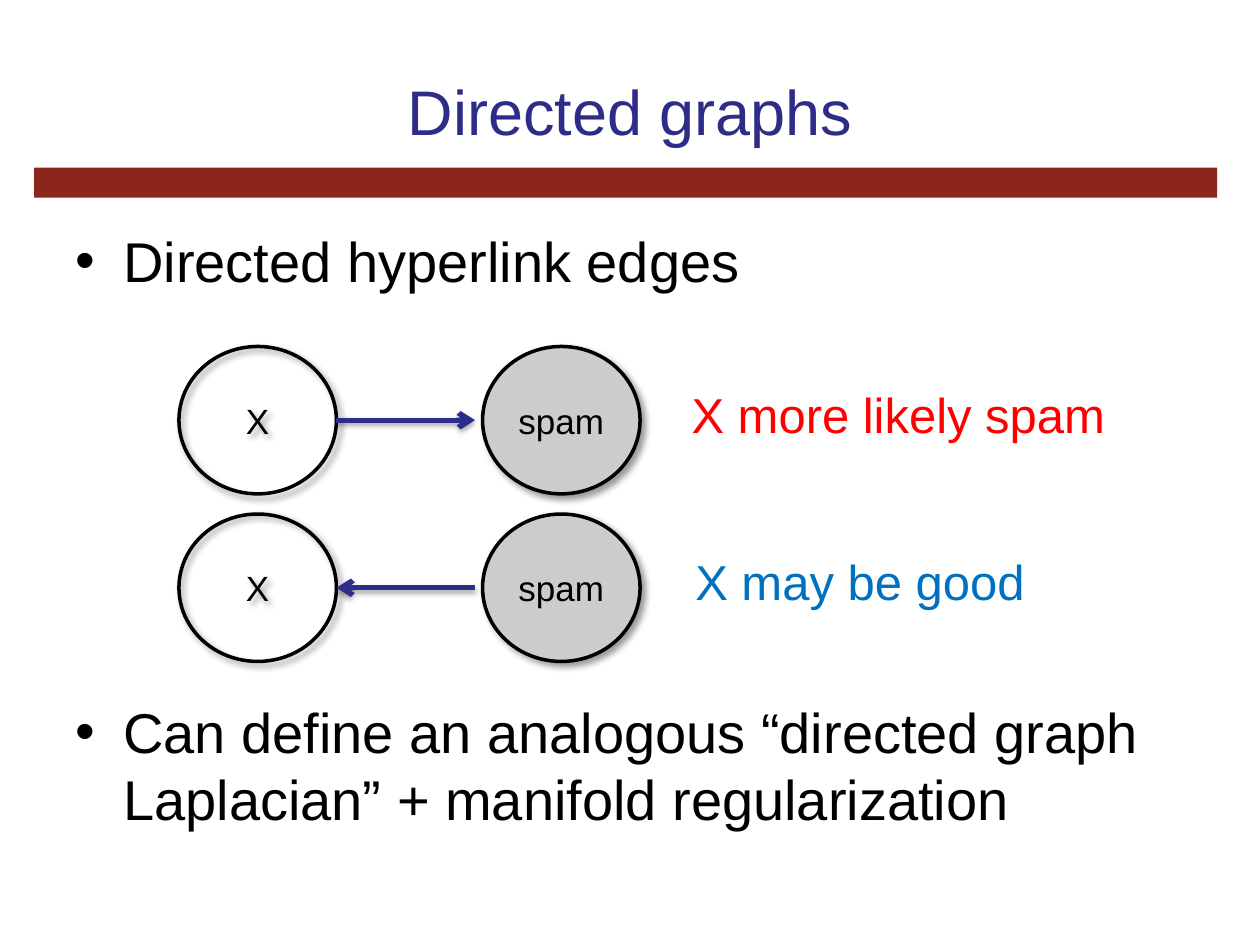
from lxml.etree import SubElement
from pptx import Presentation
from pptx.dml.color import RGBColor
from pptx.enum.shapes import MSO_CONNECTOR, MSO_SHAPE
from pptx.enum.text import MSO_ANCHOR, PP_ALIGN
from pptx.oxml.ns import qn
from pptx.util import Inches, Pt

BLACK = RGBColor(0x00, 0x00, 0x00)
GREY = RGBColor(0xCC, 0xCC, 0xCC)
RED = RGBColor(0xFF, 0x00, 0x00)
BLUE = RGBColor(0x00, 0x70, 0xC0)
TITLE_BLUE = RGBColor(0x2D, 0x2D, 0x87)
ARROW_BLUE = RGBColor(0x2D, 0x2D, 0x8A)
BAR_RED = RGBColor(0x8C, 0x26, 0x1C)

# Content
TITLE = "Directed graphs"
BULLETS = [  # text, space before in points
    ("Directed hyperlink edges", 0),
    ("Can define an analogous “directed graph Laplacian” + manifold regularization", 230.4),
]
NODES = [("X", None), ("spam", GREY)]
EDGES = [  # conclusion, colour, left, width, arrow points at X
    ("X more likely spam", RED, 5.39, 3.52, False),
    ("X may be good", BLUE, 5.42, 2.85, True),
]

# Grid of the graph, in inches
NODE_LEFT, NODE_TOP = 1.42, 2.75
NODE_WIDTH, NODE_HEIGHT = 1.25, 1.17
COLUMN_STEP, ROW_STEP = 2.41, 1.33
ARROW_LENGTH = 1.1


def add_run(paragraph, text, size, color):
    run = paragraph.add_run()
    run.text = text
    run.font.name = "Arial"
    run.font.size = Pt(size)
    run.font.color.rgb = color


def add_text_box(slide, left, top, width, height, wrap=True):
    box = slide.shapes.add_textbox(Inches(left), Inches(top), Inches(width), Inches(height))
    box.text_frame.word_wrap = wrap
    return box.text_frame


def add_shadow(shape, alpha, blur, distance, angle):
    properties = shape._element.spPr
    for old in properties.findall(qn("a:effectLst")):
        properties.remove(old)
    effects = SubElement(properties, qn("a:effectLst"))
    shadow = SubElement(effects, qn("a:outerShdw"), blurRad=str(Pt(blur)),
                        dist=str(Pt(distance)), dir=str(angle * 60000), rotWithShape="0")
    color = SubElement(shadow, qn("a:srgbClr"), val="000000")
    SubElement(color, qn("a:alpha"), val=str(alpha * 1000))


def add_node(slide, label, fill, left, top):
    node = slide.shapes.add_shape(MSO_SHAPE.OVAL, Inches(left), Inches(top),
                                  Inches(NODE_WIDTH), Inches(NODE_HEIGHT))
    if fill is None:
        node.fill.background()
    else:
        node.fill.solid()
        node.fill.fore_color.rgb = fill
    node.line.color.rgb = BLACK
    node.line.width = Pt(2)
    add_shadow(node, 40, 4, 3, 45)
    node.text_frame.vertical_anchor = MSO_ANCHOR.MIDDLE
    paragraph = node.text_frame.paragraphs[0]
    paragraph.alignment = PP_ALIGN.CENTER
    add_run(paragraph, label, 20, BLACK)


def add_arrow(slide, start, end, y):
    arrow = slide.shapes.add_connector(MSO_CONNECTOR.STRAIGHT, Inches(start), Inches(y),
                                       Inches(end), Inches(y))
    arrow.line.color.rgb = ARROW_BLUE
    arrow.line.width = Pt(3)
    SubElement(arrow.line._get_or_add_ln(), qn("a:tailEnd"), type="arrow")
    add_shadow(arrow, 35, 3.1, 1.8, 90)


def main():
    presentation = Presentation()
    presentation.slide_width, presentation.slide_height = Inches(10), Inches(7.5)
    slide = presentation.slides.add_slide(presentation.slide_layouts[6])

    # Bar under the title
    bar = slide.shapes.add_shape(MSO_SHAPE.RECTANGLE, Inches(0.27), Inches(1.33),
                                 Inches(9.39), Inches(0.24))
    bar.shadow.inherit = False
    bar.fill.solid()
    bar.fill.fore_color.rgb = BAR_RED
    bar.line.fill.background()

    # Title
    title = add_text_box(slide, 0.5, 0.25, 9, 1.25)
    title.vertical_anchor = MSO_ANCHOR.MIDDLE
    title.paragraphs[0].alignment = PP_ALIGN.CENTER
    add_run(title.paragraphs[0], TITLE, 36, TITLE_BLUE)

    # Bullets above and below the graph
    body = add_text_box(slide, 0.5, 1.75, 9, 4.95)
    for index, (text, space) in enumerate(BULLETS):
        paragraph = body.add_paragraph() if index else body.paragraphs[0]
        paragraph.space_before = Pt(space)
        properties = paragraph._p.get_or_add_pPr()
        properties.set("marL", str(Inches(0.38)))
        properties.set("indent", str(-Inches(0.38)))
        SubElement(properties, qn("a:buFont"), typeface="Arial")
        SubElement(properties, qn("a:buChar"), char="•")
        add_run(paragraph, text, 32, BLACK)

    # Graph: one row per edge direction
    for row, (conclusion, color, left, width, points_at_x) in enumerate(EDGES):
        top = NODE_TOP + row * ROW_STEP
        for column, (label, fill) in enumerate(NODES):
            add_node(slide, label, fill, NODE_LEFT + column * COLUMN_STEP, top)
        start = NODE_LEFT + NODE_WIDTH
        ends = (start, start + ARROW_LENGTH)
        if points_at_x:
            ends = ends[::-1]
        add_arrow(slide, *ends, top + NODE_HEIGHT / 2)
        note = add_text_box(slide, left, top + 0.25, width, 0.57, wrap=False)
        add_run(note.paragraphs[0], conclusion, 28, color)

    presentation.save("out.pptx")


if __name__ == "__main__":
    main()
